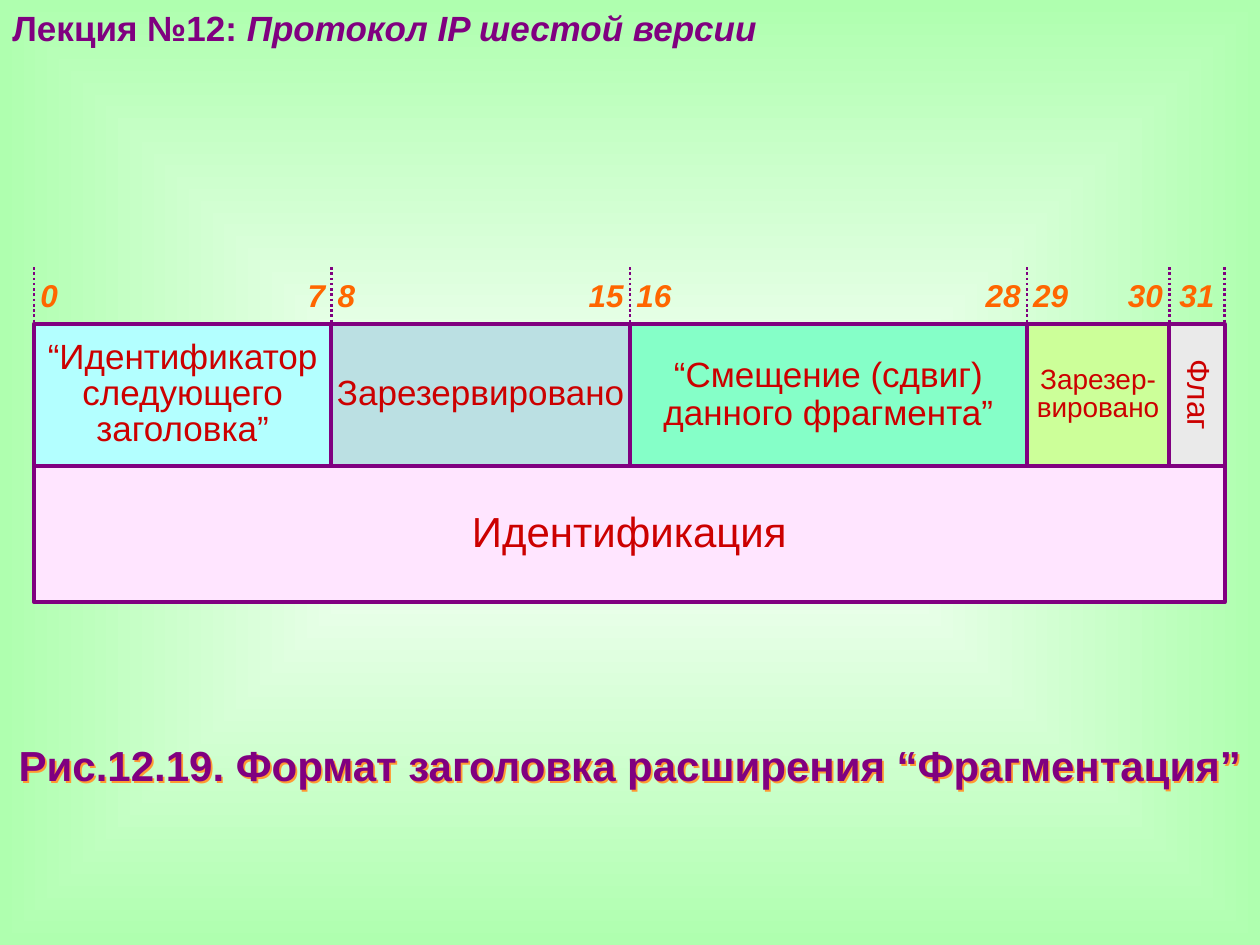
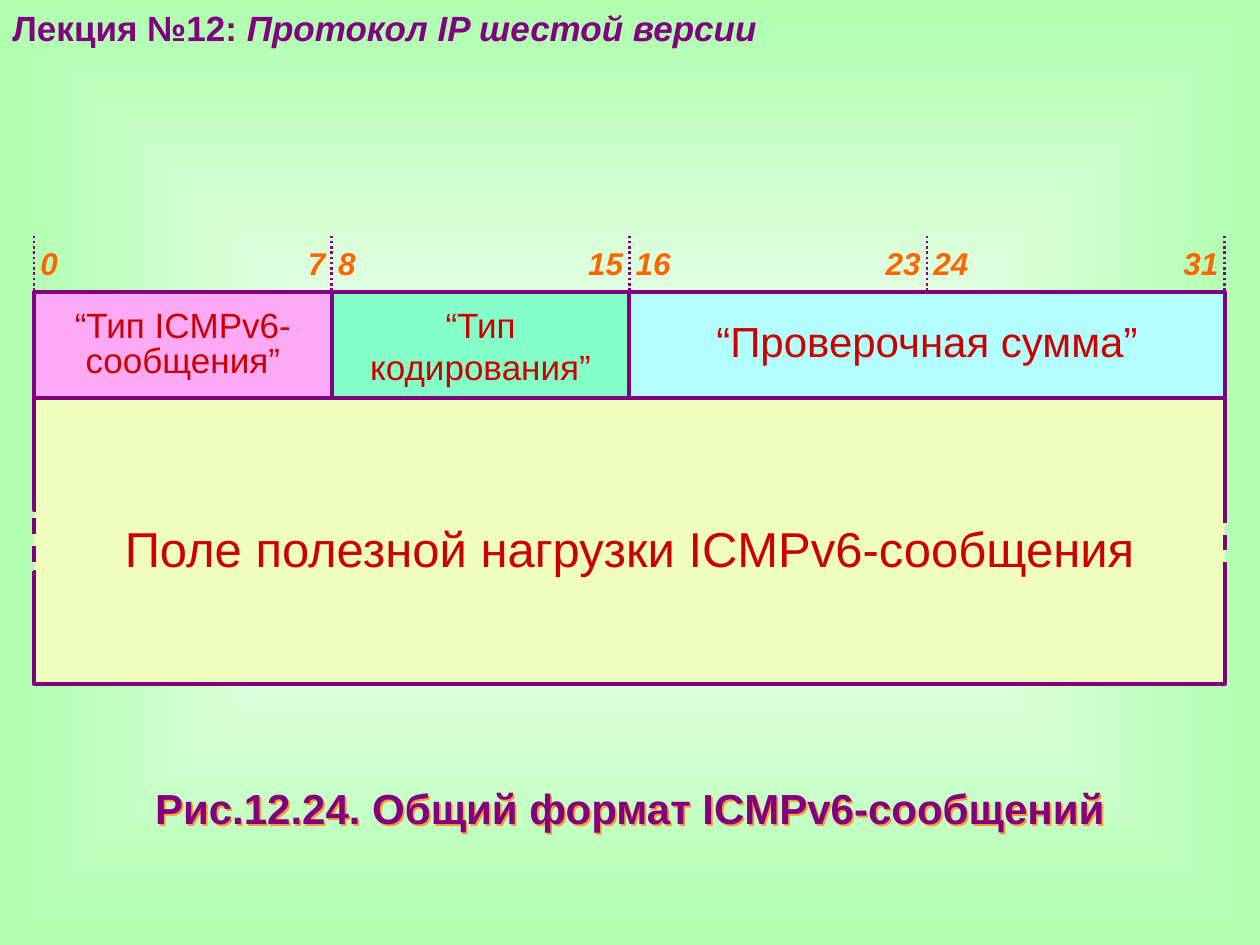
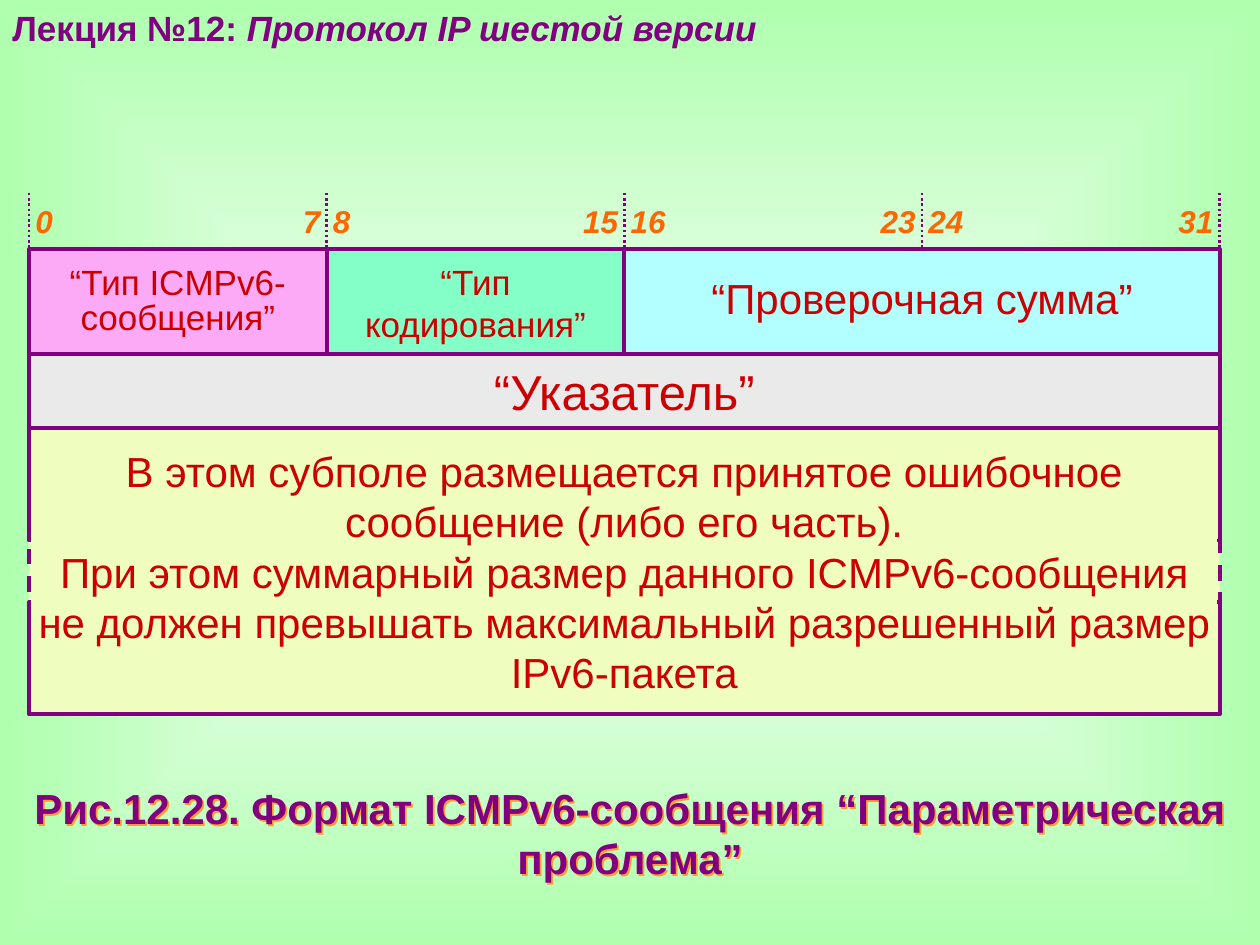
from itertools import pairwise

from pptx import Presentation
from pptx.dml.color import RGBColor
from pptx.enum.dml import MSO_LINE_DASH_STYLE as DASH
from pptx.enum.shapes import MSO_CONNECTOR, MSO_SHAPE
from pptx.enum.text import MSO_ANCHOR as ANCHOR, MSO_AUTO_SIZE, PP_ALIGN as ALIGN
from pptx.oxml import parse_xml
from pptx.oxml.ns import nsdecls, qn
from pptx.util import Inches, Pt

WHITE = RGBColor(0xFF, 0xFF, 0xFF)
GREEN = RGBColor(0xAF, 0xFF, 0xAF)
PURPLE = RGBColor(0x80, 0x00, 0x80)
ORANGE = RGBColor(0xFF, 0x66, 0x00)
RED = RGBColor(0xCC, 0x00, 0x00)
CAPTION_SHADOW = RGBColor(0xFF, 0x99, 0x33)
CYAN = RGBColor(0xB3, 0xFF, 0xFF)
STEEL = RGBColor(0xBB, 0xE0, 0xE3)
MINT = RGBColor(0x85, 0xFF, 0xC8)
LIME = RGBColor(0xCC, 0xFF, 0x99)
GREY = RGBColor(0xEA, 0xEA, 0xEA)
ROSE = RGBColor(0xFF, 0xE5, 0xFF)
PINK = RGBColor(0xFC, 0xAA, 0xF6)
CREAM = RGBColor(0xEF, 0xFE, 0xBE)

FONT = "Arial"
HEADING = {"size": Pt(20), "bold": True}
CAPTION = {"size": Pt(24), "bold": True, "italic": False}
BIT_NUMBER = {"size": Pt(18), "bold": True, "italic": True}

WIDTH = 9.45  # a full 32-bit row
QUARTERS = [WIDTH * i / 4 for i in range(5)]
FRAGMENT_EDGES = [0, 2.36, 4.73, 7.88, 9.01, WIDTH]
QUARTER_BITS = [(0, 7), (8, 15), (16, 23), (24, 31)]
FRAGMENT_BITS = [(0, 7), (8, 15), (16, 28), (29, 30), (31,)]
SCALE_RISE = 0.45
BIT_PAD = 0.05

# text, fill, text size, line spacing
FRAGMENT_FIELDS = [
    ("“Идентификатор следующего заголовка”", CYAN, 20, 0.85),
    ("Зарезервировано", STEEL, 20, 0.8),
    ("“Смещение (сдвиг) данного фрагмента”", MINT, 20, 0.9),
    ("Зарезер-вировано", LIME, 16, 0.85),
    ("Флаг", GREY, 18, 0.85),
]
ICMP_FIELDS = [
    ("“Тип ICMPv6-сообщения”", PINK, 20, 0.85),
    ("“Тип кодирования”", MINT, 20, 1),
    ("“Проверочная сумма”", CYAN, 24, 0.8),
]
ICMP_EDGES = [QUARTERS[i] for i in (0, 1, 2, 4)]


def box(x, y, w, h):
    return [Inches(v) for v in (x, y, w, h)]


def set_font(font, color, values):
    font.name = FONT
    font.color.rgb = color
    for name, value in values.items():
        setattr(font, name, value)


def set_frame(tf, anchor=ANCHOR.MIDDLE, **margins):
    tf.word_wrap = True
    tf.vertical_anchor = anchor
    for side in ("left", "top", "right", "bottom"):
        setattr(tf, f"margin_{side}", Inches(margins.get(side, 0)))


def set_background(master):
    """Gradient from a white centre to green edges, shared by all slides."""
    fill = master.background.fill
    fill.gradient()
    for stop, color, position in zip(fill.gradient_stops, (WHITE, GREEN), (0, 1)):
        stop.color.rgb = color
        stop.position = position
    lin = master.element.find(f".//{qn('a:lin')}")
    lin.getparent().replace(lin, parse_xml(
        f'<a:path {nsdecls("a")} path="shape">'
        '<a:fillToRect l="50000" t="50000" r="50000" b="50000"/></a:path>'))


def add_heading(slide):
    tf = slide.shapes.add_textbox(*box(0, 0, 6.38, 0.43)).text_frame
    set_frame(tf, ANCHOR.TOP, left=0.1, top=0.05, right=0.1, bottom=0.05)
    p = tf.paragraphs[0]
    for text, italic in (("Лекция №12: ", False), ("Протокол IP шестой версии", True)):
        r = p.add_run()
        r.text = text
        set_font(r.font, PURPLE, HEADING | {"italic": italic})


def set_caption(slide, text, y, h):
    sp = slide.shapes.title
    sp.left, sp.top, sp.width, sp.height = box(0, y, 10, h)
    sp.shadow.inherit = False
    sp.element.spPr.find(qn("a:effectLst")).append(parse_xml(
        f'<a:outerShdw {nsdecls("a")} dist="18000" dir="2700000">'
        f'<a:srgbClr val="{CAPTION_SHADOW}"/></a:outerShdw>'))
    tf = sp.text_frame
    tf.auto_size = MSO_AUTO_SIZE.NONE
    set_frame(tf, ANCHOR.TOP, left=0.1, top=0.05, right=0.1, bottom=0.05)
    tf.text = text
    p = tf.paragraphs[0]
    p.alignment = ALIGN.CENTER
    set_font(p.runs[0].font, PURPLE, CAPTION)


def add_field(slide, x, y, w, h, fill, paragraphs=(), size=20, spacing=1,
              line=PURPLE, line_width=2.25, dash=None):
    sp = slide.shapes.add_shape(MSO_SHAPE.RECTANGLE, *box(x, y, w, h))
    sp.shadow.inherit = False
    sp.fill.solid()
    sp.fill.fore_color.rgb = fill
    sp.line.color.rgb = line
    sp.line.width = Pt(line_width)
    if dash:
        sp.line.dash_style = dash
    tf = sp.text_frame
    set_frame(tf)
    for i, text in enumerate(paragraphs):
        p = tf.add_paragraph() if i else tf.paragraphs[0]
        p.alignment = ALIGN.CENTER
        p.line_spacing = spacing
        r = p.add_run()
        r.text = text
        set_font(r.font, RED, {"size": Pt(size)})
    return sp


def turn_text(sp):
    """Run the text downwards, centred along the height as well."""
    body = sp.element.find(f".//{qn('a:bodyPr')}")
    for name, value in {"vert": "eaVert", "anchorCtr": "1"}.items():
        body.set(name, value)


def add_tick(slide, x, y):
    line = slide.shapes.add_connector(
        MSO_CONNECTOR.STRAIGHT, *box(x, y, x, y + 0.6))
    line.line.color.rgb = PURPLE
    line.line.width = Pt(1.5)
    line.line.dash_style = DASH.ROUND_DOT
    line.element.spPr.append(parse_xml(f'<a:effectLst {nsdecls("a")}/>'))


def add_bit_numbers(slide, x, y, w, bits):
    """First bit at the left edge, last bit on a right tab; a lone bit centred."""
    tf = slide.shapes.add_textbox(*box(x, y, w, 0.42)).text_frame
    p = tf.paragraphs[0]
    if len(bits) == 1:
        set_frame(tf)
        p.alignment = ALIGN.CENTER
    else:
        set_frame(tf, left=BIT_PAD)
        p.alignment = ALIGN.LEFT
        p._p.get_or_add_pPr().append(parse_xml(
            f'<a:tabLst {nsdecls("a")}>'
            f'<a:tab pos="{Inches(w - 2 * BIT_PAD)}" algn="r"/></a:tabLst>'))
    r = p.add_run()
    r.text = "\t".join(map(str, bits))
    set_font(r.font, ORANGE, BIT_NUMBER)


def add_bit_scale(slide, x, y, edges, bit_ranges):
    top = y - SCALE_RISE
    for edge in edges:
        add_tick(slide, x + edge, top)
    for (start, end), bits in zip(pairwise(edges), bit_ranges):
        add_bit_numbers(slide, x + start, top + 0.01, end - start, bits)


def add_field_row(slide, x, y, h, edges, fields):
    return [add_field(slide, x + start, y, end - start, h, fill, [text], size, spacing)
            for (start, end), (text, fill, size, spacing) in zip(pairwise(edges), fields)]


def add_payload(slide, x, y, paragraphs, size, text_top, text_height):
    """Field of open length: its sides are dashed half-way down."""
    part = 0.89
    add_field(slide, x, y + 0.69, WIDTH, part, CREAM, dash=DASH.DASH)
    for top in (y, y + 1.38):
        add_field(slide, x, top, WIDTH, part, CREAM)
    add_field(slide, x + 0.05, text_top, WIDTH - 0.1, text_height, CREAM,
              paragraphs, size, line=CREAM, line_width=4.75)


def add_icmp_header(slide, x, y):
    add_bit_scale(slide, x, y, QUARTERS, QUARTER_BITS)
    add_field_row(slide, x, y, 0.84, ICMP_EDGES, ICMP_FIELDS)


def add_slide(prs, caption, caption_top, caption_height=0.5):
    slide = prs.slides.add_slide(prs.slide_layouts[5])
    add_heading(slide)
    set_caption(slide, caption, caption_top, caption_height)
    return slide


def build_fragmentation(prs):
    slide = add_slide(
        prs, "Рис.12.19. Формат заголовка расширения “Фрагментация”", 5.82)
    x, y, h = 0.27, 2.57, 1.13
    add_bit_scale(slide, x, y, FRAGMENT_EDGES, FRAGMENT_BITS)
    add_field(slide, x, y + h, WIDTH, 1.08, ROSE, ["Идентификация"], 24, 0.9)
    *_, flag = add_field_row(slide, x, y, h, FRAGMENT_EDGES, FRAGMENT_FIELDS)
    turn_text(flag)


def build_general_format(prs):
    slide = add_slide(prs, "Рис.12.24. Общий формат ICMPv6-сообщений", 6.16)
    x = 0.27
    add_icmp_header(slide, x, 2.32)
    add_payload(slide, x, 3.16, ["Поле полезной нагрузки ICMPv6-сообщения"],
                28, 3.9, 0.89)


def build_parameter_problem(prs):
    slide = add_slide(
        prs, "Рис.12.28. Формат ICMPv6-сообщения “Параметрическая проблема”",
        6.16, 0.9)
    x = 0.23
    add_icmp_header(slide, x, 1.98)
    add_payload(slide, x, 3.4, [
        "В этом субполе размещается принятое ошибочное сообщение (либо его часть).",
        "При этом суммарный размер данного ICMPv6-сообщения не должен превышать "
        "максимальный разрешенный размер IPv6-пакета",
    ], 24, 3.55, 1.97)
    add_field(slide, x, 2.81, WIDTH, 0.59, GREY, ["“Указатель”"], 28)


def main():
    prs = Presentation()
    prs.slide_width, prs.slide_height = Inches(10), Inches(7.5)
    set_background(prs.slide_master)
    build_fragmentation(prs)
    build_general_format(prs)
    build_parameter_problem(prs)
    prs.save("out.pptx")


if __name__ == "__main__":
    main()
